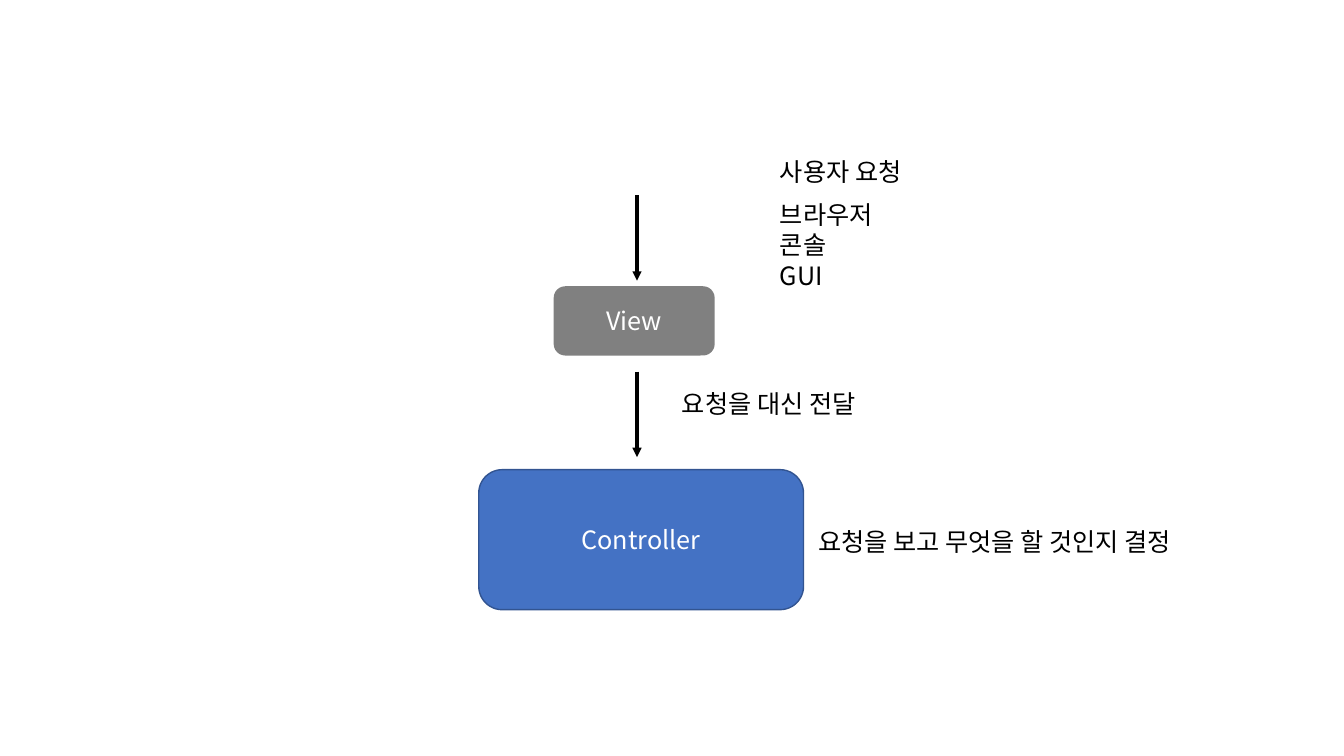
from pptx import Presentation
from pptx.dml.color import RGBColor
from pptx.enum.shapes import MSO_CONNECTOR, MSO_SHAPE
from pptx.enum.text import MSO_ANCHOR, MSO_AUTO_SIZE, PP_ALIGN
from pptx.oxml.ns import qn
from pptx.util import Pt
from lxml import etree

ROUND = MSO_SHAPE.ROUNDED_RECTANGLE
STRAIGHT = MSO_CONNECTOR.STRAIGHT
MIDDLE = MSO_ANCHOR.MIDDLE
FIT = MSO_AUTO_SIZE.SHAPE_TO_FIT_TEXT
CENTER, LEFT = PP_ALIGN.CENTER, PP_ALIGN.LEFT
FONT = "Noto Sans CJK KR"


def paint(color, code):
    color.rgb = RGBColor.from_string(code)


def write(frame, lines, code, align):
    frame.word_wrap = True
    frame.text = "\n".join(lines)
    for para in frame.paragraphs:
        para.alignment = align
        para.font.size = Pt(18)
        paint(para.font.fill.fore_color if para.font.fill.type else para.font.color, code)
        para.font.name = FONT
        props = para._p.pPr.find(qn("a:defRPr"))
        etree.SubElement(props, qn("a:ea"), typeface=FONT)


deck = Presentation()
deck.slide_width, deck.slide_height = Pt(960), Pt(540)
slide = deck.slides.add_slide(deck.slide_layouts[6])
shapes = slide.shapes

# Boxes: name, left, top, width, height, fill, border
boxes = [
    ("Controller", 342, 335.5, 232, 100, "4472C4", "325491"),
    ("View", 395.5, 204.5, 115, 49.5, "808080", None),
]
for name, x, y, w, h, fill, edge in boxes:
    box = shapes.add_shape(ROUND, Pt(x), Pt(y), Pt(w), Pt(h))
    box.shadow.inherit = False
    box.fill.solid()
    paint(box.fill.fore_color, fill)
    if edge:
        box.line.width = Pt(1)
        paint(box.line.color, edge)
    else:
        box.line.fill.background()
    box.text_frame.vertical_anchor = MIDDLE
    write(box.text_frame, [name], "FFFFFF", CENTER)

# Arrows running down into each box
for top in (139.5, 265.5):
    arrow = shapes.add_connector(STRAIGHT, Pt(455), Pt(top), Pt(455), Pt(top + 61))
    arrow.line.width = Pt(2.25)
    paint(arrow.line.color, "000000")
    etree.SubElement(arrow.line._get_or_add_ln(), qn("a:tailEnd"), type="triangle")
    etree.SubElement(arrow._element.spPr, qn("a:effectLst"))

# Notes: left, top, width, height, lines
notes = [
    (550, 108, 114.5, 29, ["사용자 요청"]),
    (550, 139, 204.5, 72.5, ["브라우저", "콘솔", "GUI"]),
    (480, 273.5, 313, 29, ["요청을 대신 전달"]),
    (577.5, 372.5, 313, 29, ["요청을 보고 무엇을 할 것인지 결정"]),
]
for x, y, w, h, lines in notes:
    note = shapes.add_textbox(Pt(x), Pt(y), Pt(w), Pt(h))
    write(note.text_frame, lines, "000000", LEFT)
    note.text_frame.auto_size = FIT

deck.save("out.pptx")
